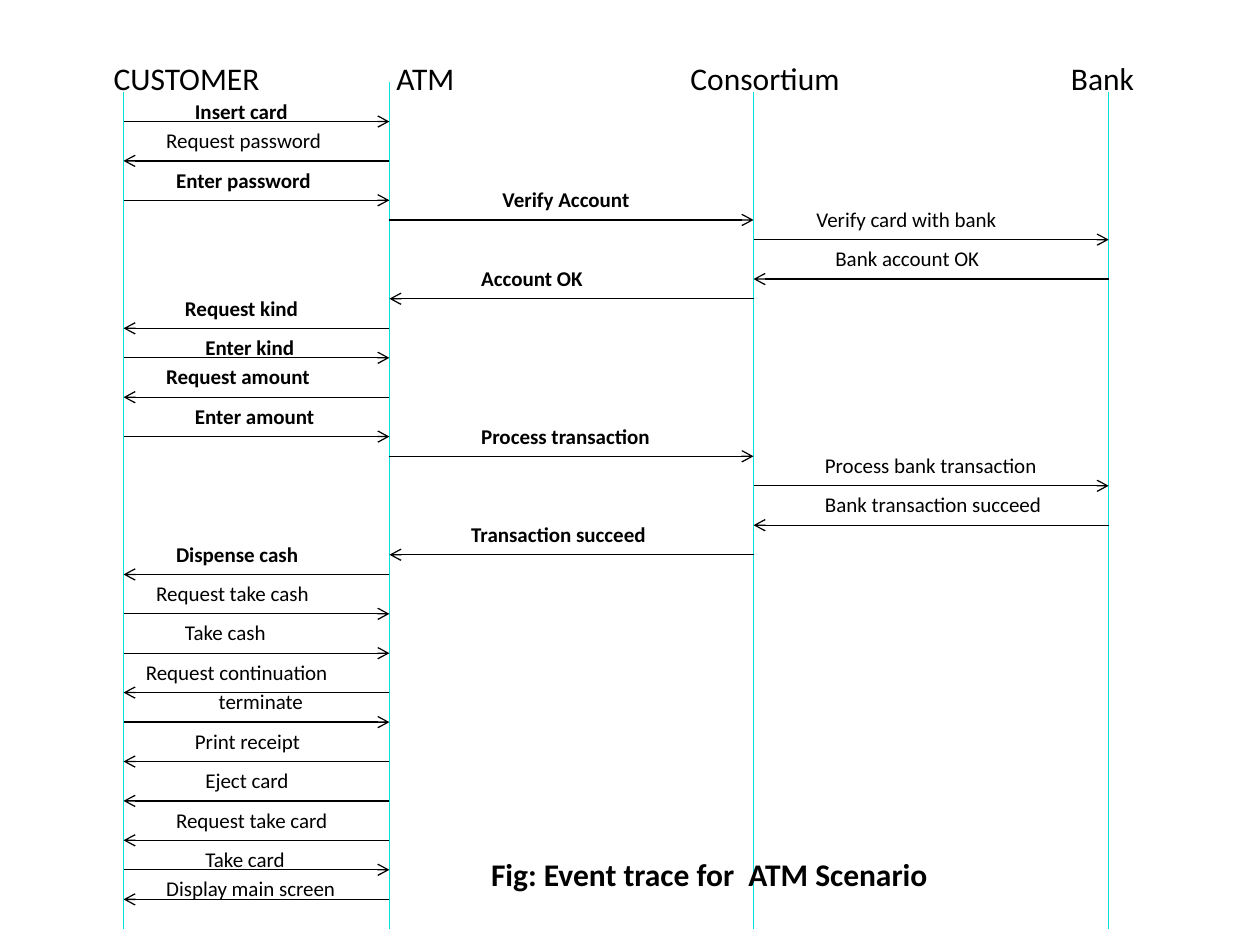
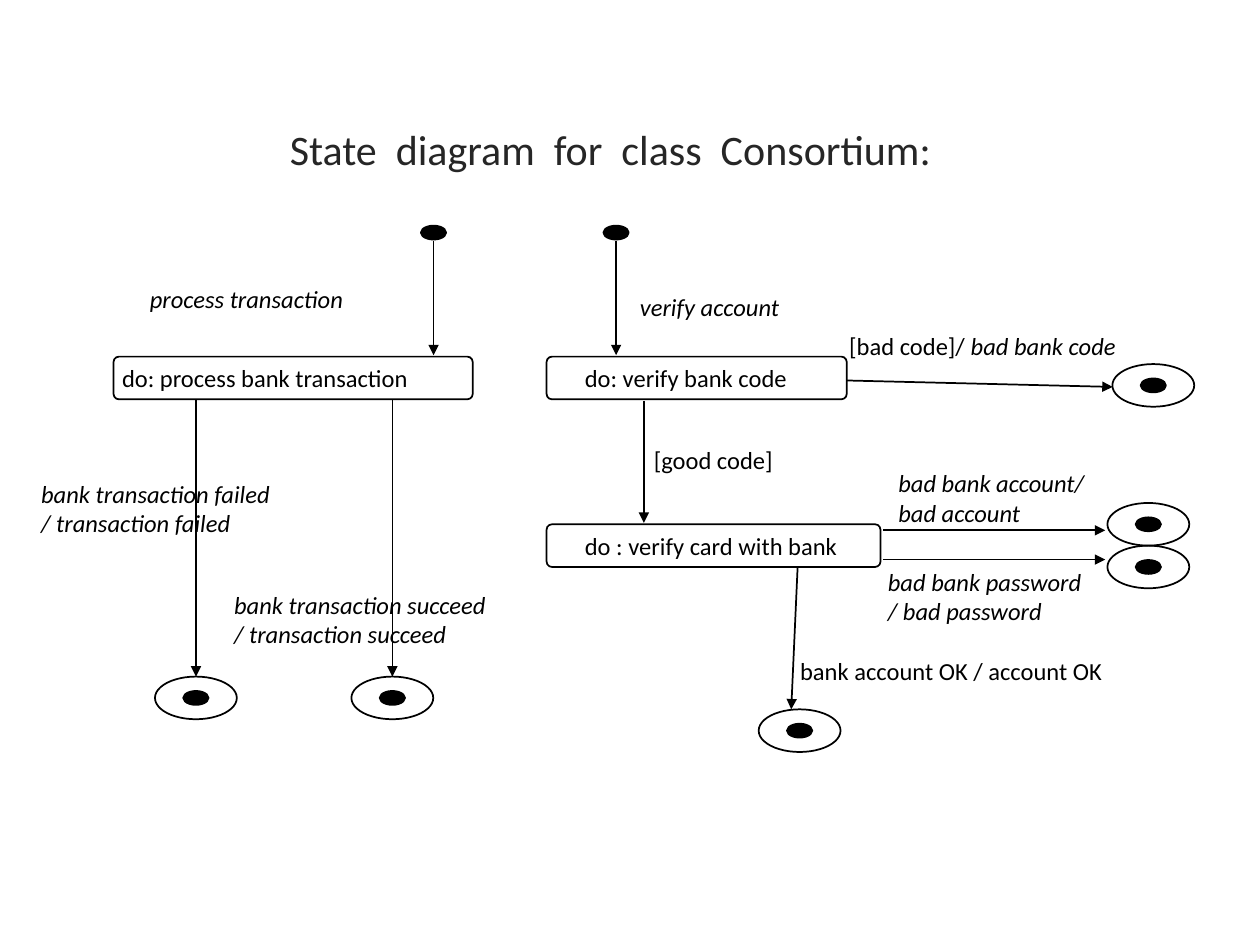
from lxml import etree
from pptx import Presentation
from pptx import util as u
from pptx.dml.color import RGBColor
from pptx.enum import shapes, text
from pptx.oxml import ns

# Shared style
FONT = "Calibri"
BLACK = "000000"
TITLE_GREY = "262626"
LIFELINE_CYAN = "05E0DB"
WHITE = "FFFFFF"

# Event trace: one column per participant, lengths in centimetres
CUSTOMER, ATM, CONSORTIUM, BANK = 2.49, 7.85, 15.19, 22.35
LIFELINE_TOPS = {CUSTOMER: 1.85, ATM: 1.65, CONSORTIUM: 1.85, BANK: 1.85}
LIFELINE_BOTTOM = 18.72
FIRST_MESSAGE, LAST_MESSAGE = 2.45, 18.13

# sender, receiver, steps below the previous message, label,
# label left, label width, bold, steps from label top to arrow
MESSAGES = [
    (CUSTOMER, ATM, 0, "Insert card", 3.68, 2.59, True, 3),
    (ATM, CUSTOMER, 4, "Request password", 3.1, 4.37, False, 4),
    (CUSTOMER, ATM, 4, "Enter password", 3.3, 3.96, True, 4),
    (ATM, CONSORTIUM, 2, "Verify Account", 9.88, 4.1, True, 4),
    (CONSORTIUM, BANK, 2, "Verify card with bank", 16.21, 4.95, False, 4),
    (BANK, CONSORTIUM, 4, "Bank account OK", 16.59, 3.96, False, 4),
    (CONSORTIUM, ATM, 2, "Account OK", 9.45, 4.17, True, 4),
    (ATM, CUSTOMER, 3, "Request kind", 3.48, 3.58, True, 4),
    (CUSTOMER, ATM, 3, "Enter kind", 3.89, 2.44, True, 3),
    (ATM, CUSTOMER, 4, "Request amount", 3.1, 4.57, True, 4),
    (CUSTOMER, ATM, 4, "Enter amount", 3.68, 3.38, True, 4),
    (ATM, CONSORTIUM, 2, "Process transaction", 9.45, 4.27, True, 4),
    (CONSORTIUM, BANK, 3, "Process bank transaction", 16.38, 5.31, False, 4),
    (BANK, CONSORTIUM, 4, "Bank transaction succeed", 16.38, 5.38, False, 4),
    (CONSORTIUM, ATM, 3, "Transaction succeed", 9.25, 4.22, True, 4),
    (ATM, CUSTOMER, 2, "Dispense cash", 3.3, 3.76, True, 4),
    (CUSTOMER, ATM, 4, "Request take cash", 2.9, 4.95, False, 4),
    (CUSTOMER, ATM, 4, "Take cash", 3.48, 3.76, False, 4),
    (ATM, CUSTOMER, 4, "Request continuation", 2.69, 4.95, False, 4),
    (CUSTOMER, ATM, 3, "terminate", 4.16, 2.6, False, 4),
    (ATM, CUSTOMER, 4, "Print receipt", 3.68, 2.79, False, 4),
    (ATM, CUSTOMER, 4, "Eject card", 3.89, 2.41, False, 4),
    (ATM, CUSTOMER, 4, "Request take card", 3.3, 3.96, False, 4),
    (CUSTOMER, ATM, 3, "Take card", 3.89, 2.36, False, 3),
    (ATM, CUSTOMER, 3, "Display main screen", 3.1, 4.34, False, 3),
]

# State diagram
STATE_HEIGHT = 0.86
STATES = [  # left, top, width, activity, text indent
    (2.29, 7.19, 7.24, "do: process bank transaction", 0.14),
    (11.02, 10.57, 6.73, "do : verify card with bank", 0.74),
    (11.02, 7.19, 6.05, "do: verify bank code", 0.74),
]
INITIAL_STATES = [(8.74, 4.69), (12.42, 4.69)]
FINAL_STATES = [(23.25, 7.77), (23.15, 10.57), (23.15, 11.43),
                (16.12, 14.73), (7.91, 14.07), (3.95, 14.07)]
TRANSITIONS = [
    ((8.74, 4.85), (8.74, 7.16)),
    ((12.42, 4.85), (12.42, 7.16)),
    ((17.07, 7.67), (22.43, 7.8)),
    ((17.81, 10.69), (22.28, 10.69)),
    ((17.81, 11.28), (22.28, 11.28)),
    ((12.98, 8.08), (12.98, 10.54)),
    ((16.08, 11.43), (15.95, 14.3)),
    ((7.91, 8.05), (7.91, 13.64)),
    ((3.95, 8.05), (3.95, 13.64)),
]
TRANSITION_LABELS = [  # left, top, width, text, italic
    (2.77, 5.61, 4.83, "process transaction", True),
    (12.65, 5.77, 3.58, "verify account", True),
    (12.93, 8.84, 3.1, "[good code]", False),
    (17.86, 9.32, 4.57, "bad bank account/\nbad account", True),
    (17.65, 11.3, 4.83, "bad bank password\n/ bad password", True),
    (15.88, 13.11, 7.34, "bank account OK / account OK", False),
    (0.58, 9.53, 5.49, "bank transaction failed\n/ transaction failed", True),
    (4.47, 11.76, 6.15, "bank transaction succeed\n/ transaction succeed", True),
]


def color(hex_string):
    return RGBColor.from_string(hex_string)


def format_runs(text_frame, size, bold=False, italic=False, hex_color=BLACK):
    for paragraph in text_frame.paragraphs:
        for run in paragraph.runs:
            run.font.name = FONT
            run.font.size = u.Pt(size)
            run.font.bold = bold
            run.font.italic = italic
            run.font.color.rgb = color(hex_color)


def add_label(slide, left, top, width, height, content, size, **style):
    box = slide.shapes.add_textbox(u.Cm(left), u.Cm(top), u.Cm(width), u.Cm(height))
    box.text_frame.word_wrap = True
    box.text_frame.text = content
    format_runs(box.text_frame, size, **style)
    return box.text_frame


def add_line(slide, start, end, hex_color, weight, arrowhead=None):
    line = slide.shapes.add_connector(
        shapes.MSO_CONNECTOR.STRAIGHT, *(u.Cm(value) for value in (*start, *end)))
    line.line.color.rgb = color(hex_color)
    line.line.width = u.Pt(weight)
    if arrowhead:
        etree.SubElement(line.line._get_or_add_ln(), ns.qn("a:tailEnd"), type=arrowhead)
    etree.SubElement(line._element.spPr, ns.qn("a:effectLst"))


def add_outlined_shape(slide, kind, left, top, width, height, fill=None):
    shape = slide.shapes.add_shape(
        kind, u.Cm(left), u.Cm(top), u.Cm(width), u.Cm(height))
    shape.shadow.inherit = False
    shape.line.color.rgb = color(BLACK)
    shape.line.width = u.Pt(1)
    if fill:
        shape.fill.solid()
        shape.fill.fore_color.rgb = color(fill)
    else:
        shape.fill.background()
    return shape


def add_ellipse(slide, center, width, height, fill=None):
    x, y = center
    add_outlined_shape(slide, shapes.MSO_SHAPE.OVAL,
                       x - width / 2, y - height / 2, width, height, fill)


def add_dot(slide, center):
    add_ellipse(slide, center, 0.51, 0.28, BLACK)


def add_final_state(slide, center):
    add_dot(slide, center)
    add_ellipse(slide, center, 1.65, 0.86)


def add_state(slide, left, top, width, activity, indent):
    state = add_outlined_shape(slide, shapes.MSO_SHAPE.ROUNDED_RECTANGLE,
                               left, top, width, STATE_HEIGHT)
    state.adjustments[0] = 0.125
    frame = state.text_frame
    frame.word_wrap = False
    frame.margin_left = u.Cm(indent)
    frame.margin_top = frame.margin_bottom = 0
    frame.vertical_anchor = text.MSO_ANCHOR.MIDDLE
    frame.text = activity
    frame.paragraphs[0].alignment = text.PP_ALIGN.LEFT
    format_runs(frame, 14)


def add_participant_names(slide):
    frame = add_label(slide, 2.04, 1.07, 23.2, 1.02,
                      "CUSTOMER\tATM\tConsortium\tBank", 18)
    properties = frame.paragraphs[0]._p.get_or_add_pPr()
    tabs = etree.SubElement(properties, ns.qn("a:tabLst"))
    for position in (5.7, 11.63, 19.3):
        etree.SubElement(tabs, ns.qn("a:tab"), pos=str(u.Cm(position)), algn="l")


def new_slide(presentation):
    slide = presentation.slides.add_slide(presentation.slide_layouts[6])
    slide.background.fill.solid()
    slide.background.fill.fore_color.rgb = color(WHITE)
    return slide


def build_event_trace(presentation):
    slide = new_slide(presentation)
    add_participant_names(slide)
    for x, top in LIFELINE_TOPS.items():
        add_line(slide, (x, top), (x, LIFELINE_BOTTOM), LIFELINE_CYAN, 0.75)

    # Messages on a fine vertical grid
    step = (LAST_MESSAGE - FIRST_MESSAGE) / sum(message[2] for message in MESSAGES)
    y = FIRST_MESSAGE
    for sender, receiver, steps, label, left, width, bold, rise in MESSAGES:
        y += steps * step
        add_line(slide, (sender, y), (receiver, y), BLACK, 0.75, "arrow")
        add_label(slide, left, y - rise * step, width, 0.76, label, 12, bold=bold)

    add_label(slide, 9.65, 17.12, 14.1, 1.02,
              "Fig: Event trace for  ATM Scenario", 18, bold=True)


def build_state_diagram(presentation):
    slide = new_slide(presentation)

    # Title
    title = add_label(slide, 0, 0.84, 24.61, 2.79,
                      "State  diagram  for  class  Consortium:", 24,
                      hex_color=TITLE_GREY)
    title.vertical_anchor = text.MSO_ANCHOR.BOTTOM
    title.paragraphs[0].alignment = text.PP_ALIGN.CENTER

    # States
    for state in STATES:
        add_state(slide, *state)
    for center in INITIAL_STATES:
        add_dot(slide, center)
    for center in FINAL_STATES:
        add_final_state(slide, center)

    # Transitions
    for start, end in TRANSITIONS:
        add_line(slide, start, end, BLACK, 1, "triangle")
    for left, top, width, content, italic in TRANSITION_LABELS:
        height = 1.45 if "\n" in content else 0.84
        add_label(slide, left, top, width, height, content, 14, italic=italic)

    # Guard in upright type, action in italics
    bad_code = add_label(slide, 16.87, 6.55, 6.93, 0.84, "[bad code]/ ", 14)
    action = bad_code.paragraphs[0].add_run()
    action.text = "bad bank code"
    format_runs(bad_code, 14)
    action.font.italic = True


def main():
    presentation = Presentation()
    presentation.slide_width = u.Cm(25.4)
    presentation.slide_height = u.Cm(19.05)
    build_event_trace(presentation)
    build_state_diagram(presentation)
    presentation.save("out.pptx")


if __name__ == "__main__":
    main()
